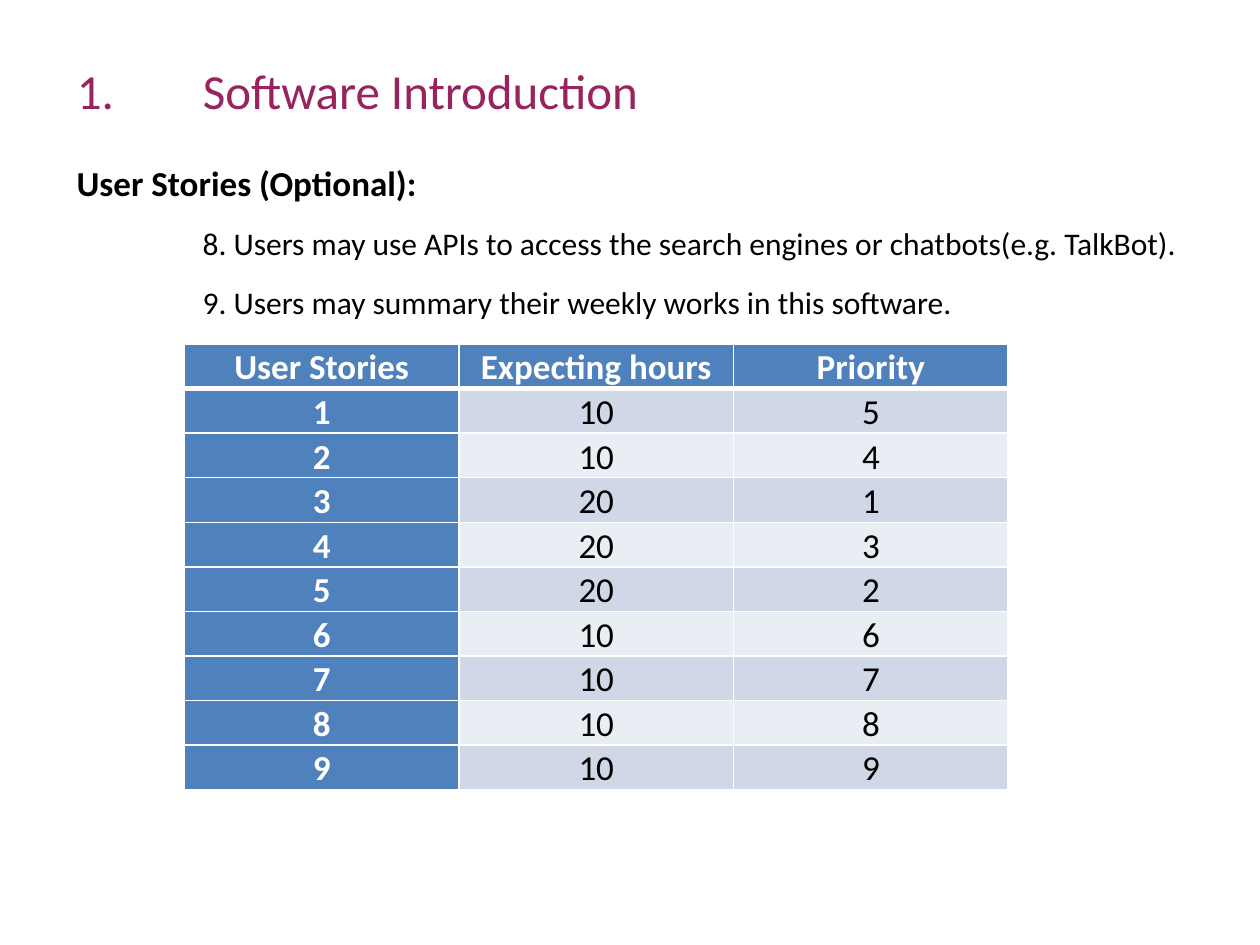
from lxml.etree import SubElement
from pptx import Presentation
from pptx.dml.color import RGBColor
from pptx.enum.text import MSO_ANCHOR, PP_ALIGN
from pptx.oxml.ns import qn
from pptx.util import Pt

TITLE = "1.\tSoftware Introduction"
LINES = [
    ("User Stories (Optional):", 20, True),
    ("8. Users may use APIs to access the search engines or chatbots(e.g. TalkBot).", 18, False),
    ("9. Users may summary their weekly works in this software.", 18, False),
]
ROWS = [
    ("User Stories", "Expecting hours", "Priority"),
    (1, 10, 5),
    (2, 10, 4),
    (3, 20, 1),
    (4, 20, 3),
    (5, 20, 2),
    (6, 10, 6),
    (7, 10, 7),
    (8, 10, 8),
    (9, 10, 9),
]
FONT = "Calibri"
PLUM = RGBColor(0x99, 0x23, 0x5E)
BLACK = RGBColor(0, 0, 0)
WHITE = RGBColor(255, 255, 255)
BLUE = RGBColor(0x4F, 0x81, 0xBD)
BANDS = [RGBColor(0xE9, 0xED, 0xF4), RGBColor(0xD0, 0xD8, 0xE8)]
LEFT, STEP = 36.7, 72
COL_W, ROW_H = 156.9, 24.4


def style(para, size, color, bold=False):
    for run in para.runs:
        font = run.font
        font.name, font.size, font.bold = FONT, Pt(size), bold
        font.color.rgb = color


def indent(para, left, first=0):
    props = para._p.get_or_add_pPr()
    props.set("marL", str(Pt(left)))
    props.set("indent", str(Pt(first)))


def border(cell, side, width):
    props = cell._tc.get_or_add_tcPr()
    line = SubElement(props, qn("a:ln" + side), w=str(Pt(width)))
    fill = SubElement(line, qn("a:solidFill"))
    SubElement(fill, qn("a:srgbClr"), val=str(WHITE))


def add_title(slide):
    title = slide.shapes.title
    title.left, title.top, title.width, title.height = Pt(0), Pt(31.7), Pt(720), Pt(38.9)
    frame = title.text_frame
    frame.text = TITLE
    frame.vertical_anchor = MSO_ANCHOR.MIDDLE
    para = frame.paragraphs[0]
    para.alignment = PP_ALIGN.LEFT
    indent(para, LEFT + STEP, -STEP)
    style(para, 28, PLUM)


def add_body(slide):
    box = slide.shapes.add_textbox(Pt(0), Pt(88.6), Pt(720), Pt(451.4))
    frame = box.text_frame
    frame.word_wrap = True
    frame.text = "\n".join(text for text, _, _ in LINES)
    for para, (_, size, bold) in zip(frame.paragraphs, LINES):
        indent(para, LEFT if bold else LEFT + STEP)
        para.space_after = Pt(12)
        style(para, size, BLACK, bold)


def add_grid(slide):
    count, wide = len(ROWS), len(ROWS[0])
    table = slide.shapes.add_table(
        count, wide, Pt(105.4), Pt(196.6), Pt(COL_W * wide), Pt(ROW_H * count)
    ).table
    table.first_col = True
    for col in table.columns:
        col.width = Pt(COL_W)
    for r, row in enumerate(ROWS):
        table.rows[r].height = Pt(ROW_H)
        for c, value in enumerate(row):
            cell = table.cell(r, c)
            head = r == 0 or c == 0
            cell.margin_left = cell.margin_right = Pt(5)
            cell.margin_top = cell.margin_bottom = Pt(0)
            for side in "LRTB":
                thick = (r, side) in ((0, "B"), (1, "T"))
                border(cell, side, 3 if thick else 1)
            cell.fill.solid()
            cell.fill.fore_color.rgb = BLUE if head else BANDS[r % 2]
            cell.text_frame.text = str(value)
            para = cell.text_frame.paragraphs[0]
            para.alignment = PP_ALIGN.CENTER
            para.line_spacing = 1.06
            style(para, 20, WHITE if head else BLACK, head)


def main():
    deck = Presentation()
    deck.slide_width, deck.slide_height = Pt(720), Pt(540)
    slide = deck.slides.add_slide(deck.slide_layouts[5])
    add_body(slide)
    add_title(slide)
    add_grid(slide)
    deck.save("out.pptx")


if __name__ == "__main__":
    main()
